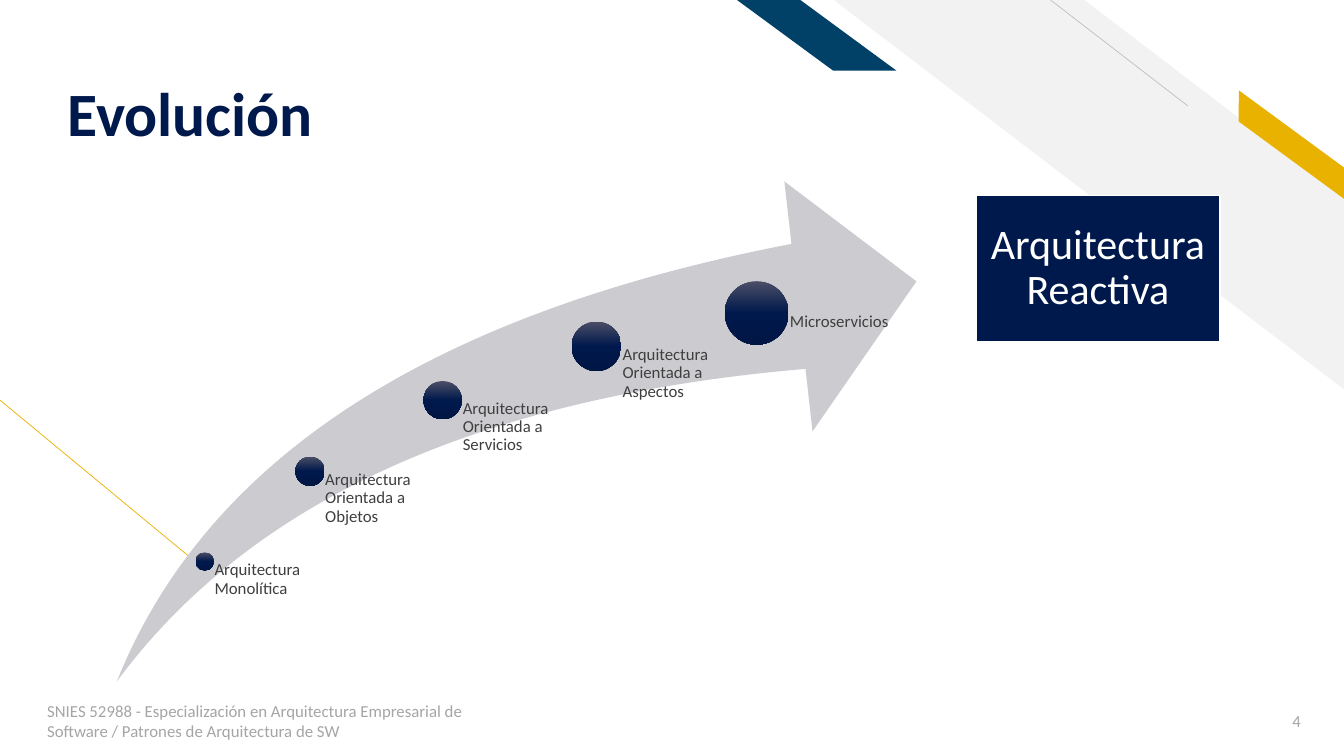
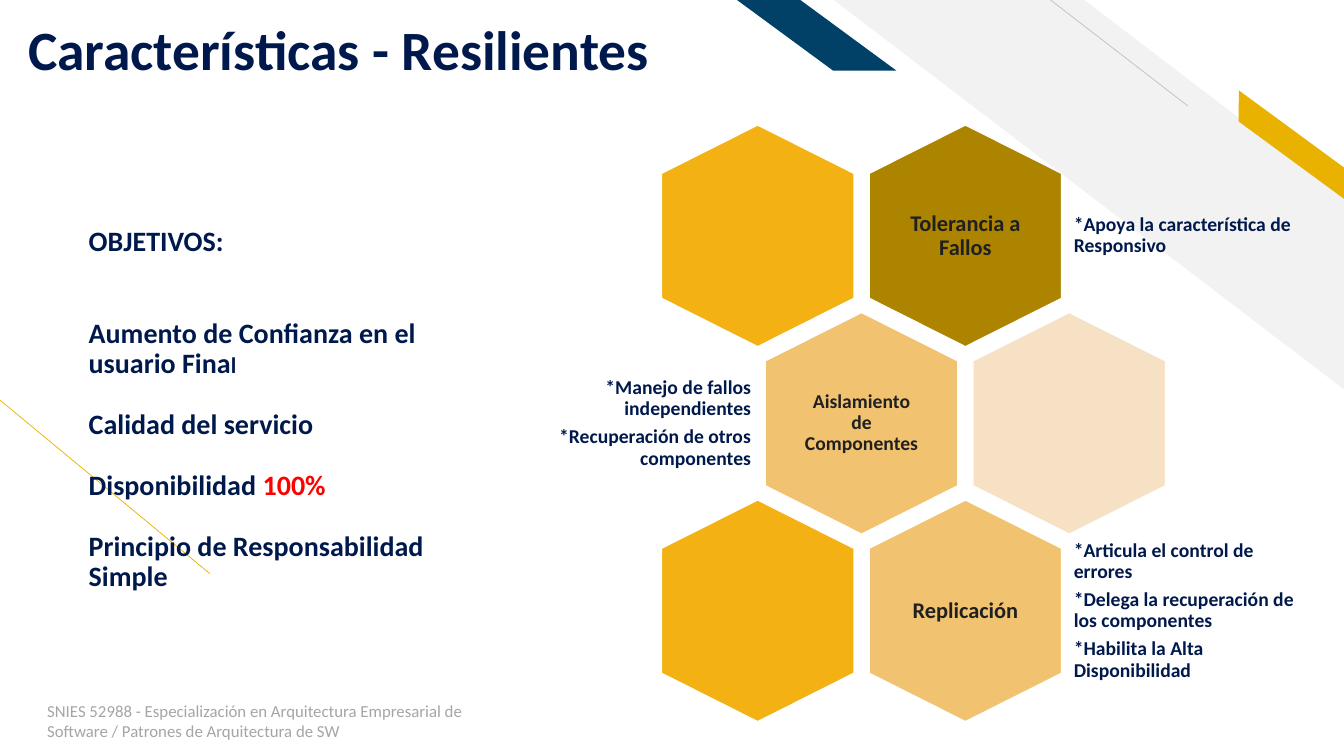
import copy
import lxml.etree
import pptx
import pptx.dml.color
import pptx.enum.shapes
import pptx.enum.text
import pptx.oxml.ns
import pptx.util

Inches = pptx.util.Inches
Pt = pptx.util.Pt
SHAPE = pptx.enum.shapes.MSO_SHAPE
ALIGN = pptx.enum.text.PP_ALIGN
ANCHOR = pptx.enum.text.MSO_ANCHOR
qn = pptx.oxml.ns.qn

NAVY = "00194C"
TEAL = "014067"
GOLD = "EAB200"
WHITE = "FFFFFF"
FOOTER_GREY = "A5A5A5"
LABEL_GREY = "3F3F3F"
HEXAGON_TEXT = "202020"
TITLE_INSETS = (0.1, 0.05, 0.1, 0)
FOOTER = "SNIES 52988 - Especialización en Arquitectura Empresarial de Software / Patrones de Arquitectura de SW"


def rgb(value):
    return pptx.dml.color.RGBColor.from_string(value)


def write(box, lines, size, color, bold=False, align=ALIGN.LEFT, anchor=ANCHOR.MIDDLE,
          insets=(0.1, 0.05, 0.1, 0.05), gap=0, spacing=0.9):
    frame = box.text_frame
    frame.text = "\n".join(lines)
    frame.word_wrap = True
    frame.auto_size = pptx.enum.text.MSO_AUTO_SIZE.NONE
    frame.vertical_anchor = anchor
    frame.margin_left, frame.margin_top, frame.margin_right, frame.margin_bottom = map(Inches, insets)
    for index, para in enumerate(frame.paragraphs):
        para.alignment = align
        para.line_spacing = spacing
        para.space_before = Pt(gap if index else 0)
        para.space_after = Pt(0)
        if box.is_placeholder:
            properties = para._p.get_or_add_pPr()
            properties.set("marL", "0")
            properties.set("indent", "0")
            lxml.etree.SubElement(properties, qn("a:buNone"))
        para.font.name = "Calibri"
        para.font.size = Pt(size)
        para.font.bold = bold
        para.font.color.rgb = rgb(color)


deck = pptx.Presentation()
deck.slide_width = Inches(13.33)
deck.slide_height = Inches(7.5)
evolution = deck.slides.add_slide(deck.slide_layouts[5])
resilience = deck.slides.add_slide(deck.slide_layouts[1])

decorations = []
for x1, y1, x2, y2, color in [(2.08, 5.69, 0, 3.97, GOLD), (11.78, 1.05, 10.42, 0, "BFBFBF")]:
    line = evolution.shapes.add_connector(
        pptx.enum.shapes.MSO_CONNECTOR.STRAIGHT, Inches(x1), Inches(y1), Inches(x2), Inches(y2))
    line.line.color.rgb = rgb(color)
    line.line.width = Pt(0.5)
    lxml.etree.SubElement(line.element.spPr, qn("a:effectLst"))
    decorations.append(line)

for kind, area, adjustment, rotation, color in [
    (SHAPE.DIAGONAL_STRIPE, (8.27, 0, 5.07, 3.87), 0.51, 0, "F2F2F2"),
    (SHAPE.PARALLELOGRAM, (12.07, 1.31, 1.48, 0.25), 0.72, 36.3, GOLD),
    (SHAPE.PARALLELOGRAM, (7.31, 0, 1.58, 0.7), 1.36, 0, TEAL),
]:
    band = evolution.shapes.add_shape(kind, *map(Inches, area))
    band.adjustments[0] = adjustment
    band.rotation = rotation
    band.element.spPr.xfrm.set("flipH", "1")
    band.fill.solid()
    band.fill.fore_color.rgb = rgb(color)
    band.line.fill.background()
    band.shadow.inherit = False
    decorations.append(band)

gold_line, grey_line, stripe, gold_band, teal_band = decorations
master_tree = deck.slide_master.shapes.element
for number, shape in enumerate([gold_line, stripe, grey_line, gold_band, teal_band], 20):
    shape.element.xpath(".//p:cNvPr")[0].set("id", str(number))
    master_tree.append(shape.element)

for page, title, area, size in [
    (evolution, "Evolución", (0.57, 0.23, 9.11, 1.26), 44),
    (resilience, "Características - Resilientes", (0.18, 0.15, 9.11, 0.67), 39.6),
]:
    heading = page.shapes.title
    heading.left, heading.top, heading.width, heading.height = map(Inches, area)
    write(heading, [title], size, NAVY, True, anchor=ANCHOR.BOTTOM, insets=TITLE_INSETS)
    footer = page.shapes.add_textbox(Inches(0.37), Inches(6.95), Inches(4.5), Inches(0.4))
    write(footer, [FOOTER], 12, FOOTER_GREY, spacing=1.0)

page_number = evolution.shapes.add_textbox(Inches(12.19), Inches(6.95), Inches(0.81), Inches(0.4))
write(page_number, ["4"], 12, FOOTER_GREY, align=ALIGN.RIGHT, spacing=1.0)

arrow = evolution.shapes.add_shape(SHAPE.SWOOSH_ARROW, Inches(1.16), Inches(1.8), Inches(7.93), Inches(4.96))
arrow.adjustments[0] = 0.25
arrow.adjustments[1] = 0.25
arrow.fill.solid()
arrow.fill.fore_color.rgb = rgb("CCCCD0")
arrow.line.fill.background()
arrow.shadow.inherit = False

arrow_bottom = 6.76
for left, top, diameter, label_width, inset, name in [
    (1.94, 5.48, 0.18, 1.04, 0.1, "Arquitectura Monolítica"),
    (2.93, 4.53, 0.29, 1.32, 0.15, "Arquitectura Orientada a Objetos"),
    (4.2, 3.78, 0.38, 1.53, 0.2, "Arquitectura Orientada a Servicios"),
    (5.67, 3.19, 0.49, 1.59, 0.26, "Arquitectura Orientada a Aspectos"),
    (7.19, 2.79, 0.63, 1.59, 0.33, "Microservicios"),
]:
    disc = evolution.shapes.add_shape(
        SHAPE.OVAL, Inches(left), Inches(top), Inches(diameter), Inches(diameter))
    disc.fill.gradient()
    disc.fill.gradient_angle = 270
    stop_list = disc.element.spPr.find(".//" + qn("a:gsLst"))
    stop_list.append(copy.deepcopy(stop_list[-1]))
    for stop, (position, color) in zip(disc.fill.gradient_stops, [(0, "4B4E66"), (0.5, NAVY), (1, "001644")]):
        stop.position = position
        stop.color.rgb = rgb(color)
    disc.line.fill.background()
    disc.shadow.inherit = False
    center_x = left + diameter / 2
    center_y = top + diameter / 2
    label = evolution.shapes.add_textbox(
        Inches(center_x), Inches(center_y), Inches(label_width), Inches(arrow_bottom - center_y))
    write(label, [name], 12, LABEL_GREY, anchor=ANCHOR.TOP, insets=(inset, 0, 0, 0))

reactive = evolution.shapes.add_shape(SHAPE.RECTANGLE, Inches(9.68), Inches(1.94), Inches(2.42), Inches(1.45))
reactive.fill.solid()
reactive.fill.fore_color.rgb = rgb(NAVY)
reactive.line.color.rgb = rgb(WHITE)
reactive.line.width = Pt(1)
reactive.shadow.inherit = False
write(reactive, ["Arquitectura Reactiva"], 30, WHITE, align=ALIGN.CENTER, insets=(0.12,) * 4)

goals = resilience.placeholders[1]
goals.left, goals.top, goals.width, goals.height = map(Inches, (0.78, 2.08, 3.95, 3.8))
write(goals, [
    "OBJETIVOS:",
    "Aumento de Confianza en el usuario Fina",
    "Calidad del servicio",
    "Disponibilidad ",
    "Principio de Responsabilidad Simple",
], 20, NAVY, True, anchor=ANCHOR.BOTTOM, insets=TITLE_INSETS, gap=22)
goal_paras = goals.text_frame.paragraphs
goal_paras[1].space_before = Pt(44)
span = goal_paras[1].add_run()
span.text = "l"
span.font.size = Pt(16)
span = goal_paras[3].add_run()
span.text = "100%"
span.font.color.rgb = rgb("FF0000")

hexagon_width, hexagon_height, shoulder = 1.91, 2.2, 0.48
column_pitch, row_pitch = 2.06, 1.86
for row, column, color, text, size in [
    (0, 1, "AD8400", "Tolerancia a Fallos", 16),
    (0, 0, "F4B113", "", 16),
    (1, 0.5, "F1C370", "Aislamiento de Componentes", 14),
    (1, 1.5, "F6E1C5", "", 14),
    (2, 1, "F1C370", "Replicación", 16),
    (2, 0, "F4B113", "", 16),
]:
    left = 6.56 + column * column_pitch
    top = 1.24 + row * row_pitch
    right, bottom, middle = left + hexagon_width, top + hexagon_height, left + hexagon_width / 2
    outline = resilience.shapes.build_freeform(Inches(middle), Inches(top))
    outline.add_line_segments([(Inches(x), Inches(y)) for x, y in [
        (right, top + shoulder), (right, bottom - shoulder), (middle, bottom),
        (left, bottom - shoulder), (left, top + shoulder)]], close=True)
    hexagon = outline.convert_to_shape()
    hexagon.fill.solid()
    hexagon.fill.fore_color.rgb = rgb(color)
    hexagon.line.color.rgb = rgb(WHITE)
    hexagon.line.width = Pt(1)
    hexagon.shadow.inherit = False
    if text:
        write(hexagon, [text], size, HEXAGON_TEXT, True, ALIGN.CENTER, insets=(0.37, 0.42, 0.37, 0.42))

for left, top, width, align, details in [
    (10.59, 1.68, 2.45, ALIGN.LEFT, ["*Apoya la característica de Responsivo"]),
    (5.14, 3.54, 2.37, ALIGN.RIGHT, ["*Manejo de fallos independientes", "*Recuperación de otros componentes"]),
    (10.59, 5.4, 2.45, ALIGN.LEFT, [
        "*Articula el control de errores",
        "*Delega la recuperación de los componentes",
        "*Habilita la Alta Disponibilidad"]),
]:
    detail = resilience.shapes.add_textbox(Inches(left), Inches(top), Inches(width), Inches(1.32))
    write(detail, details, 14, NAVY, True, align, insets=(0.06,) * 4, gap=5)

deck.save("out.pptx")
